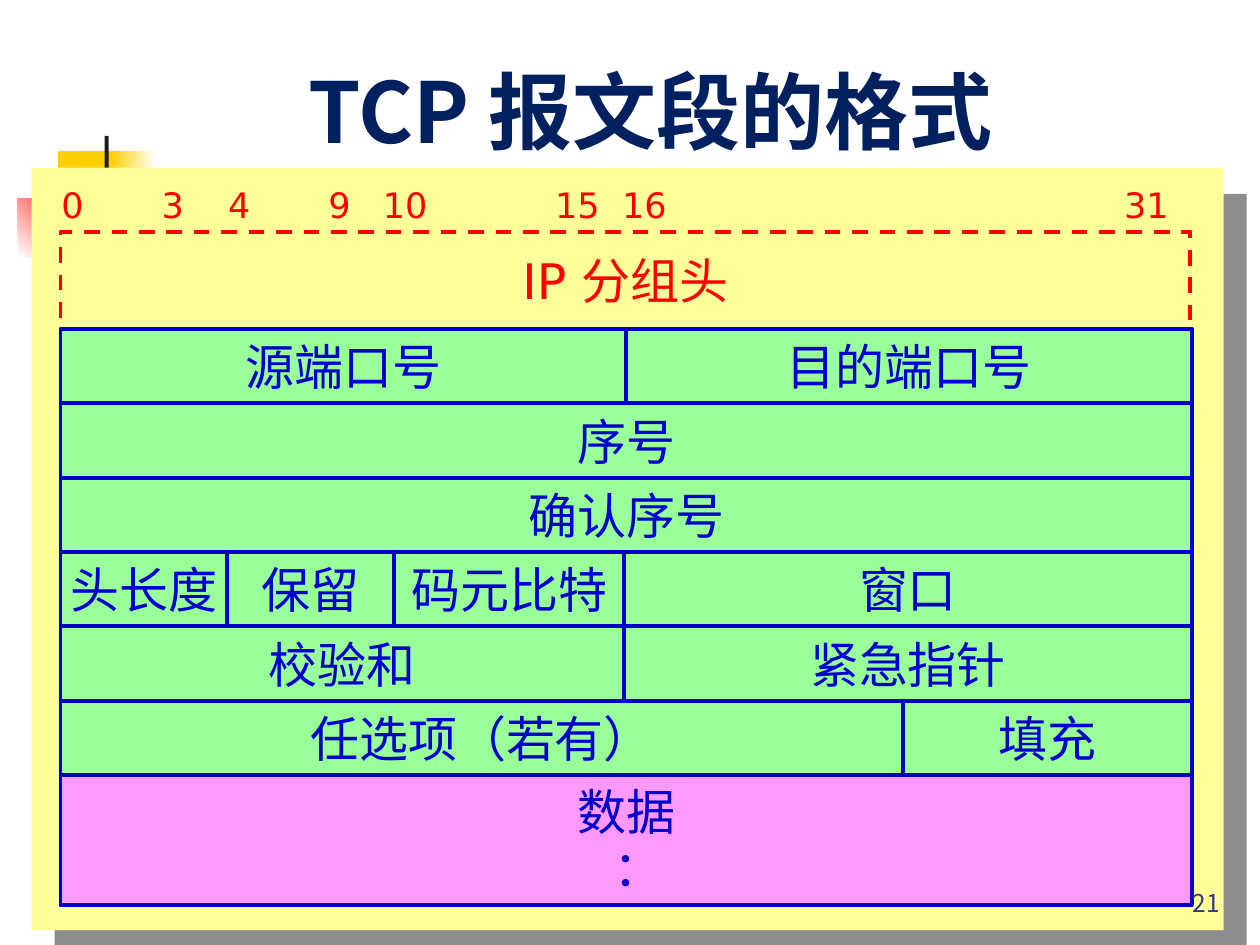
from lxml import etree
from pptx import Presentation
from pptx import util as u
from pptx.dml.color import RGBColor
from pptx.enum import dml, shapes, text
from pptx.oxml.ns import qn

COLORS = {
    "navy": "002060", "blue": "0000CC", "red": "FF0000", "green": "99FF99",
    "pink": "FF99FF", "cream": "FFFF99", "gold": "FFCF01", "white": "FFFFFF",
    "ink": "1C1C1C", "number": "333399",
}
LATIN, CJK = "DejaVu Sans", "Noto Sans CJK JP"
CENTER = text.PP_ALIGN.CENTER
MIDDLE, BOTTOM = text.MSO_ANCHOR.MIDDLE, text.MSO_ANCHOR.BOTTOM


def rgb(name):
    return RGBColor.from_string(COLORS[name])


class Deck:
    """Holds the slide being drawn and its shared style."""

    def __init__(self, slide):
        self.s = slide

    def add_lines(self, tf, lines, size, color, font=LATIN, align=CENTER,
                  anchor=MIDDLE, bold=False, tabs=()):
        tf.vertical_anchor = anchor
        for i, line in enumerate(lines):
            p = tf.add_paragraph() if i else tf.paragraphs[0]
            p.alignment = align
            if tabs:
                tab_list = etree.SubElement(p._p.get_or_add_pPr(), qn("a:tabLst"))
                for pos in tabs:
                    etree.SubElement(tab_list, qn("a:tab"), pos=str(u.Cm(pos)), algn="l")
            r = p.add_run()
            r.text = line
            r.font.size, r.font.bold, r.font.name = u.Pt(size), bold, font
            r.font.color.rgb = rgb(color)
            etree.SubElement(r._r.get_or_add_rPr(), qn("a:ea"), typeface=CJK)

    def no_margins(self, tf):
        tf.margin_left = tf.margin_right = tf.margin_top = tf.margin_bottom = 0
        tf.word_wrap = False

    def title(self, line, x, y, w, h):
        sp = self.s.shapes.title
        sp.left, sp.top, sp.width, sp.height = map(u.Cm, (x, y, w, h))
        sp.text_frame.auto_size = text.MSO_AUTO_SIZE.NONE
        self.add_lines(sp.text_frame, [line], 48, "navy", CJK, anchor=BOTTOM, bold=True)

    def rect(self, x, y, w, h, fill=None):
        sp = self.s.shapes.add_shape(shapes.MSO_SHAPE.RECTANGLE, *map(u.Cm, (x, y, w, h)))
        sp.shadow.inherit = False
        sp.line.fill.background()
        if fill:
            sp.fill.solid()
            sp.fill.fore_color.rgb = rgb(fill)
        else:
            sp.fill.background()
        return sp

    def fade(self, x, y, w, h, start, end, angle):
        fill = self.rect(x, y, w, h).fill
        fill.gradient()
        fill.gradient_angle = angle
        for stop, color in zip(fill.gradient_stops, (start, end)):
            stop.color.rgb = rgb(color)

    def panel(self, x, y, w, h):
        """Cream rectangle with a hard, half-transparent shadow."""
        sp = self.rect(x, y, w, h, "cream")
        effects = sp._element.spPr.find(qn("a:effectLst"))
        shadow = etree.SubElement(effects, qn("a:outerShdw"), blurRad="0",
                                  dist=str(u.Pt(19.9)), dir=str(49 * 60000),
                                  algn="ctr", rotWithShape="0")
        color = etree.SubElement(shadow, qn("a:srgbClr"), val=COLORS["ink"])
        etree.SubElement(color, qn("a:alpha"), val="50000")

    def field(self, lines, x, y, w, h, fill="green", color="blue", dashed=False):
        sp = self.rect(x, y, w, h, fill)
        sp.line.color.rgb = rgb(color)
        sp.line.width = u.Pt(2.25)
        if dashed:
            sp.line.dash_style = dml.MSO_LINE.DASH
        self.no_margins(sp.text_frame)
        self.add_lines(sp.text_frame, lines, 28, color)

    def label(self, line, x, y, w, h, size, color, margins=True, **style):
        tf = self.s.shapes.add_textbox(*map(u.Cm, (x, y, w, h))).text_frame
        tf.word_wrap = True
        if not margins:
            self.no_margins(tf)
        self.add_lines(tf, [line], size, color, **style)


LEFT, RIGHT, TOP, ROW = 1.22, 24.03, 6.63, 1.5
# Each row lists its fields with the right edge of each one
ROWS = [
    [("源端口号", 12.62), ("目的端口号", RIGHT)],
    [("序号", RIGHT)],
    [("确认序号", RIGHT)],
    [("头长度", 4.58), ("保留", 7.95), ("码元比特", 12.58), ("窗口", RIGHT)],
    [("校验和", 12.58), ("紧急指针", RIGHT)],
    [("任选项（若有）", 18.2), ("填充", RIGHT)],
]
BITS = ["0", "3", "4", "9", "10", "15", "16", "31"]
BIT_TABS = [2.02, 3.36, 5.38, 6.48, 9.95, 11.3, 21.42]


def main():
    prs = Presentation()
    prs.slide_width, prs.slide_height = u.Cm(25.4), u.Cm(19.05)
    d = Deck(prs.slides.add_slide(prs.slide_layouts[5]))

    d.rect(1.17, 3.05, 1.22, 1.32, "gold")
    d.fade(2.24, 3.05, 0.91, 1.32, "gold", "white", 0)
    d.fade(0.36, 4.01, 1.55, 1.17, "white", "red", 45)
    d.rect(2.11, 2.74, 0.08, 2.92, "ink")
    d.title("TCP 报文段的格式", 2.29, 0.91, 21.64, 2.44)
    d.panel(0.64, 3.38, 24.03, 15.37)

    d.field(["IP 分组头"], LEFT, 4.67, 22.78, 1.96, None, "red", dashed=True)
    for i, row in enumerate(ROWS):
        x = LEFT
        for name, right in row:
            d.field([name], x, TOP + i * ROW, right - x, ROW)
            x = right
    d.field(["数据", "："], LEFT, TOP + len(ROWS) * ROW, RIGHT - LEFT, 2.62, "pink")

    d.label("\t".join(BITS), 1.24, 3.71, 22.83, 0.84, 20, "red", margins=False,
            align=text.PP_ALIGN.LEFT, tabs=BIT_TABS)
    d.label("21", 19.56, 17.35, 5.28, 1.27, 14, "number", font=CJK,
            align=text.PP_ALIGN.RIGHT, anchor=BOTTOM)
    prs.save("out.pptx")


if __name__ == "__main__":
    main()
